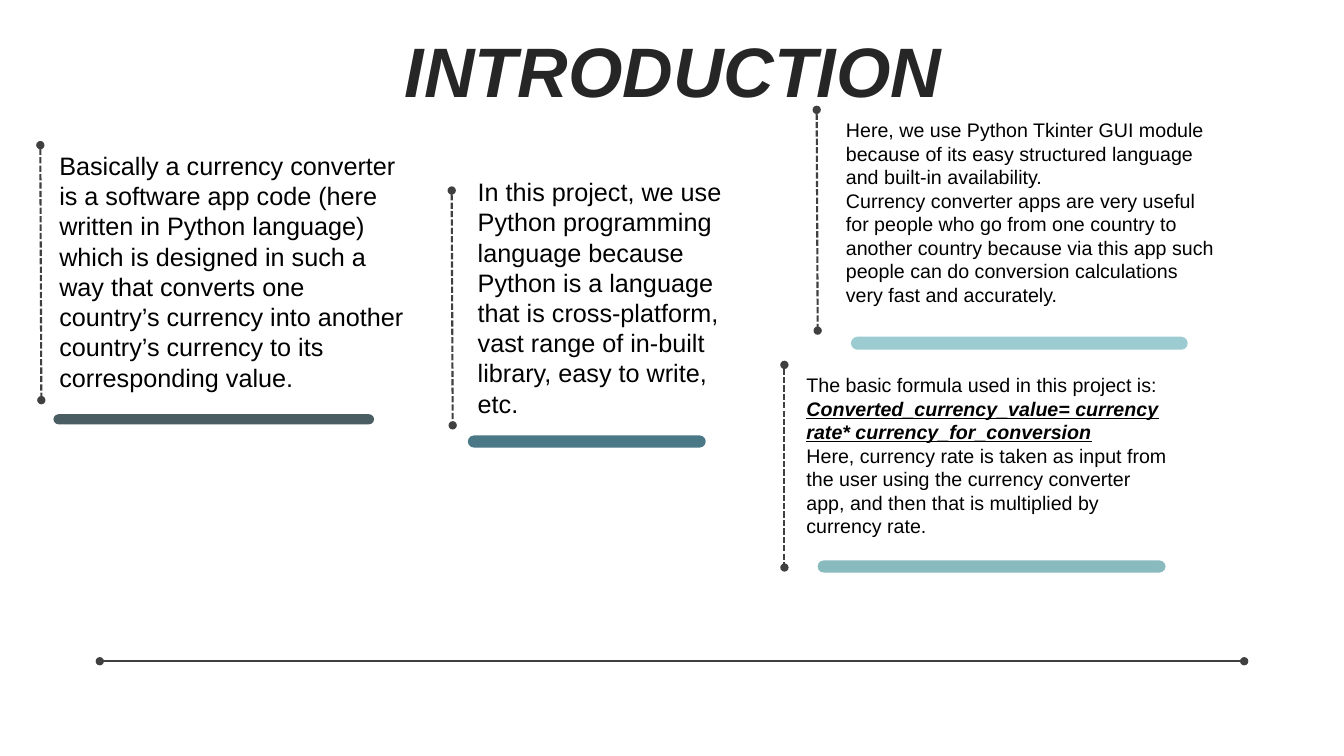
"""Build the introduction slide of a currency converter project."""
from lxml.etree import SubElement
from pptx import Presentation
from pptx.dml.color import RGBColor
from pptx.enum.dml import MSO_LINE
from pptx.enum.shapes import MSO_CONNECTOR, MSO_SHAPE
from pptx.enum.text import MSO_ANCHOR, PP_ALIGN
from pptx.oxml.ns import qn
from pptx.util import Inches, Pt

THEME = {
    "font": "Arial", "title": "262626", "text": "000000", "line": "404040",
    "slate": "4A5D62", "teal": "4A7886", "sea": "88BABE", "sky": "9CCCD2",
    "title_size": 50, "large": 18, "small": 14,
    "dash_width": 1.5, "base_width": 1.75,
}
FORMULA = {"bold": True, "italic": True, "underline": True}
TITLE = {"text": "INTRODUCTION", "box": (0.35, 0.37, 12.66, 0.79)}
BASELINE = (0.99, 6.56, 12.34, 6.56)

NOTES = [
    {"box": (0.49, 1.44, 3.66, 2.52), "size": "large", "inset": 0.1,
     "rule": (0.4, 1.44, 0.41, 3.97), "bar": (0.53, 4.11, 3.18, 0.1), "color": "slate",
     "lines": [("Basically a currency converter is a software app code (here written in "
                "Python language) which is designed in such a way that converts one country’s "
                "currency into another country’s currency to its corresponding value.", {})]},
    {"box": (4.64, 1.7, 2.76, 2.52), "size": "large", "inset": 0.1,
     "rule": (4.48, 1.89, 4.49, 4.22), "bar": (4.64, 4.32, 2.36, 0.12), "color": "teal",
     "lines": [("In this project, we use Python programming language because Python is a "
                "language that is cross-platform, vast range of in-built library, easy to "
                "write, etc.", {})]},
    {"box": (8.27, 1.12, 3.9, 2.22), "size": "small", "inset": 0.12,
     "rule": (8.1, 1.09, 8.11, 3.28), "bar": (8.44, 3.34, 3.34, 0.13), "color": "sky",
     "lines": [("Here, we use Python Tkinter GUI module because of its easy structured "
                "language and built-in availability.", {}),
               ("Currency converter apps are very useful for people who go from one country "
                "to another country because via this app such people can do conversion "
                "calculations very fast and accurately.", {})]},
    {"box": (7.9, 3.65, 3.84, 1.99), "size": "small", "inset": 0.1,
     "rule": (7.78, 3.62, 7.78, 5.63), "bar": (8.11, 5.56, 3.45, 0.12), "color": "sea",
     "lines": [("The basic formula used in this project is:", {}),
               ("Converted_currency_value= currency rate* currency_for_conversion", FORMULA),
               ("Here, currency rate is taken as input from the user using the currency "
                "converter app, and then that is multiplied by currency rate.", {})]},
]


def color(name):
    return RGBColor.from_string(THEME[name])


def apply(target, values):
    for name, value in values.items():
        setattr(target, name, value)


def add_text(page, box, lines, size, ink, inset=0.1, anchor=MSO_ANCHOR.TOP, layout=None):
    frame = page.shapes.add_textbox(*map(Inches, box)).text_frame
    apply(frame, {"word_wrap": True, "vertical_anchor": anchor,
                  "margin_left": Inches(inset), "margin_right": Inches(inset)})
    for index, (words, style) in enumerate(lines):
        para = frame.add_paragraph() if index else frame.paragraphs[0]
        apply(para, layout or {})
        span = para.add_run()
        span.text = words
        apply(span.font, {"name": THEME["font"], "size": Pt(THEME[size]), **style})
        span.font.color.rgb = color(ink)


def add_rule(page, ends, width, dash=None):
    rule = page.shapes.add_connector(MSO_CONNECTOR.STRAIGHT, *map(Inches, ends))
    rule.line.color.rgb = color("line")
    rule.line.width = Pt(THEME[width])
    if dash:
        rule.line.dash_style = dash
    outline = rule.line._get_or_add_ln()
    for end in ("a:headEnd", "a:tailEnd"):
        SubElement(outline, qn(end), type="oval")
    SubElement(rule._element.spPr, qn("a:effectLst"))


def add_bar(page, box, fill):
    bar = page.shapes.add_shape(MSO_SHAPE.ROUNDED_RECTANGLE, *map(Inches, box))
    bar.adjustments[0] = 0.5
    bar.shadow.inherit = False
    bar.fill.solid()
    bar.fill.fore_color.rgb = color(fill)
    bar.line.fill.background()


def main():
    deck = Presentation()
    apply(deck, {"slide_width": Inches(13.33), "slide_height": Inches(7.5)})
    page = deck.slides.add_slide(deck.slide_layouts[6])
    add_text(page, TITLE["box"], [(TITLE["text"], {"bold": True, "italic": True})],
             "title_size", "title", anchor=MSO_ANCHOR.MIDDLE,
             layout={"alignment": PP_ALIGN.CENTER, "line_spacing": 0.8})
    add_rule(page, BASELINE, "base_width")
    for note in NOTES:
        add_bar(page, note["bar"], note["color"])
        add_rule(page, note["rule"], "dash_width", MSO_LINE.SQUARE_DOT)
        add_text(page, note["box"], note["lines"], note["size"], "text", note["inset"])
    deck.save("out.pptx")


if __name__ == "__main__":
    main()
